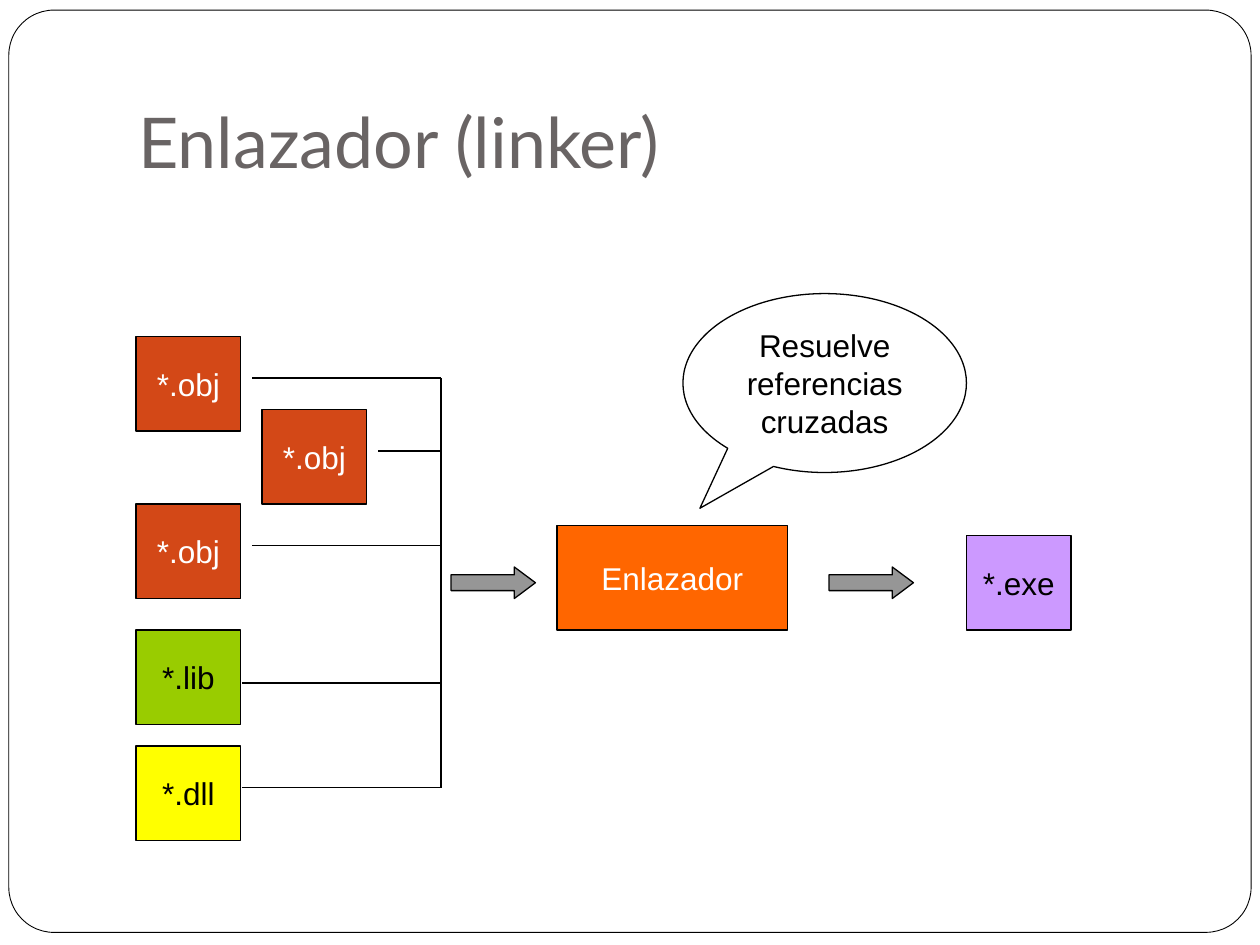
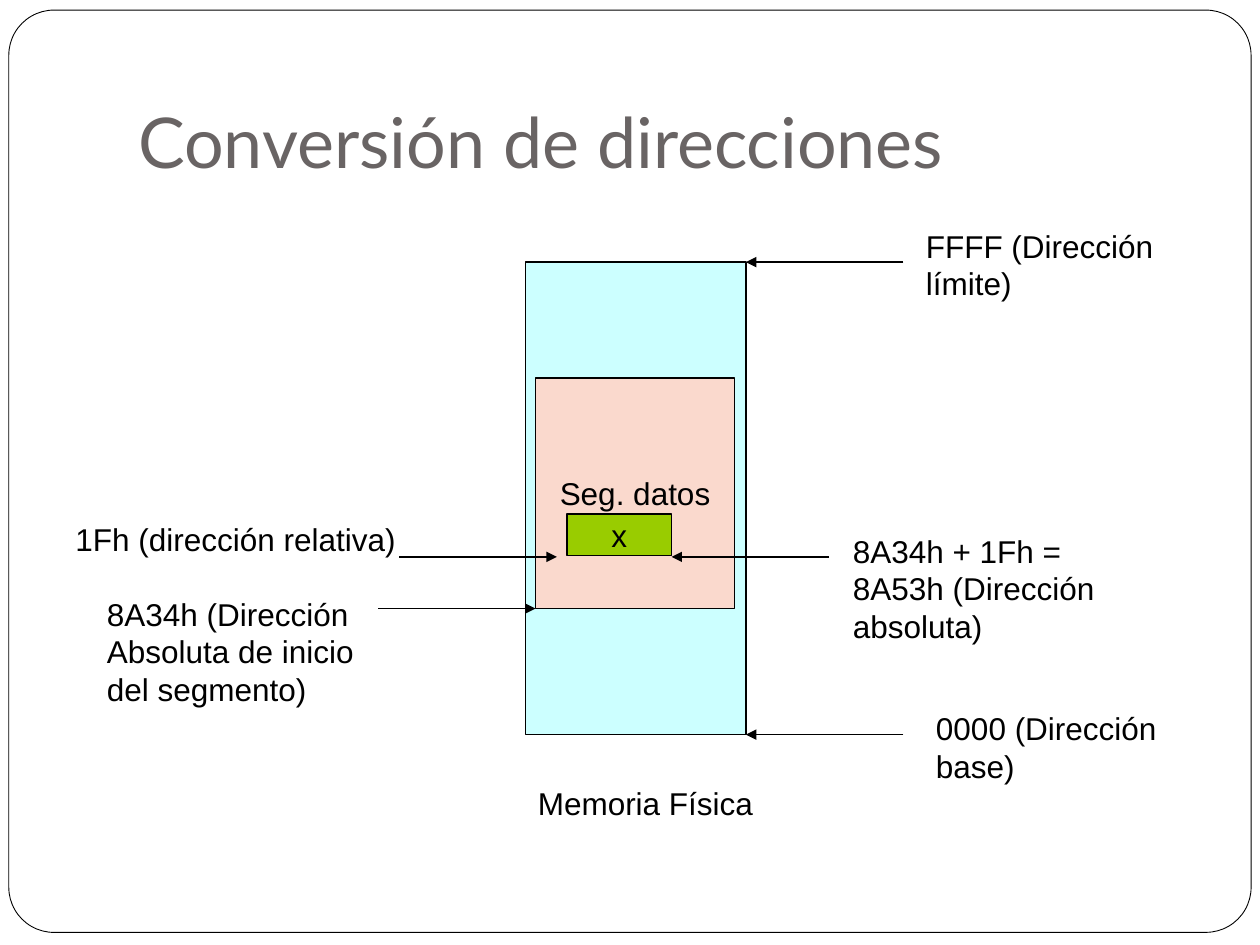
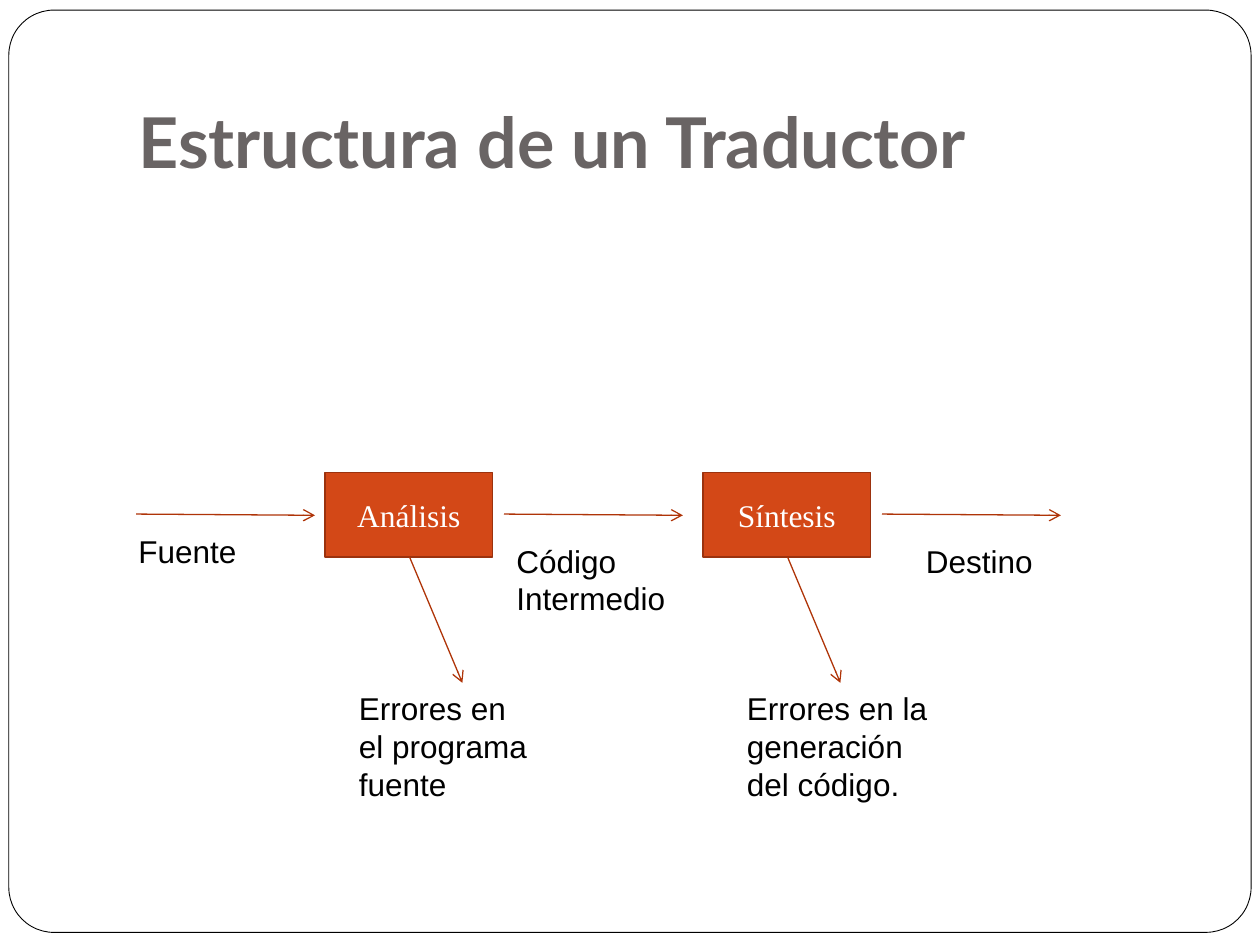
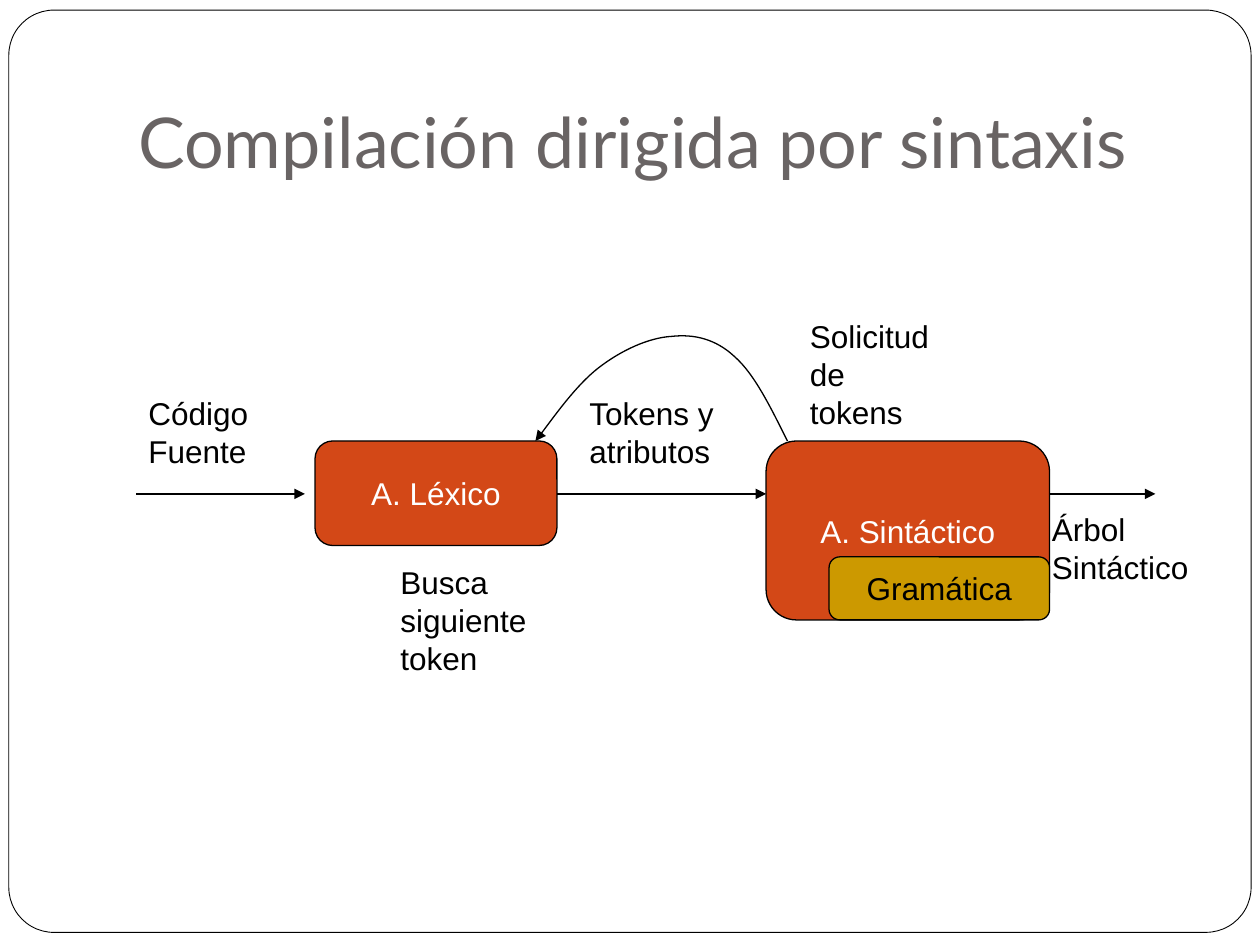
from dataclasses import dataclass
from itertools import chain

from lxml import etree
from pptx import Presentation
from pptx import util as u
from pptx.dml.color import RGBColor
from pptx.enum import shapes, text
from pptx.oxml.ns import qn

KIND = shapes.MSO_SHAPE
ALIGN = text.PP_ALIGN
ANCHOR = text.MSO_ANCHOR


@dataclass(frozen=True)
class Theme:
    black: str = "000000"
    white: str = "FFFFFF"
    title: str = "696464"
    rust: str = "D34817"
    rust_edge: str = "9B320E"
    rust_arrow: str = "AF3408"
    orange: str = "FF6600"
    green: str = "99CC00"
    yellow: str = "FFFF00"
    violet: str = "CC99FF"
    gray: str = "969696"
    cyan: str = "CCFFFF"
    peach: str = "FAD9CD"
    ochre: str = "CC9900"
    body_font: str = "Arial"
    title_font: str = "Lato"
    serif_font: str = "Times New Roman"
    title_size: float = 40
    body_size: float = 18
    label_gap: float = 11.2
    frame_line: float = 0.5
    thin_line: float = 0.75
    stage_line: float = 1


THEME = Theme()


@dataclass(frozen=True)
class Box:
    left: float
    top: float
    width: float
    height: float
    fill: str
    caption: str = ""
    ink: str = THEME.black
    kind: shapes.MSO_SHAPE = KIND.RECTANGLE
    adjust: tuple[float, ...] = ()
    edge: str = THEME.black
    weight: float = THEME.thin_line
    font: str = THEME.body_font
    anchor: text.MSO_ANCHOR = ANCHOR.MIDDLE
    wrap: bool = False


@dataclass(frozen=True)
class Label:
    left: float
    top: float
    width: float
    height: float
    caption: str
    wrap: bool = True
    before: float = 0


@dataclass(frozen=True)
class Link:
    x1: float
    y1: float
    x2: float
    y2: float
    head: str = ""
    color: str = THEME.black


# Drawing helpers
def write(shape, content: str, *, size: float = THEME.body_size,
          font: str = THEME.body_font, color: str = THEME.black,
          bold: bool = False, align=ALIGN.LEFT, anchor=ANCHOR.TOP,
          wrap: bool = True, before: float = 0, bottom: float = 0.05) -> None:
    frame = shape.text_frame
    frame.word_wrap = wrap
    frame.vertical_anchor = anchor
    frame.margin_left = frame.margin_right = u.Inches(0.1)
    frame.margin_top, frame.margin_bottom = u.Inches(0.05), u.Inches(bottom)
    frame.text = content
    for paragraph in frame.paragraphs:
        paragraph.alignment = align
        if before:
            paragraph.space_before = u.Pt(before)
        for run in paragraph.runs:
            run.font.name = font
            run.font.size = u.Pt(size)
            run.font.bold = bold
            run.font.color.rgb = RGBColor.from_string(color)


def stroke(shape, color: str, weight: float, head: str = "") -> None:
    shape.line.color.rgb = RGBColor.from_string(color)
    shape.line.width = u.Pt(weight)
    if head:
        outline = shape.element.spPr.find(qn("a:ln"))
        etree.SubElement(outline, qn("a:tailEnd"), type=head)


def draw_box(slide, box: Box):
    shape = slide.shapes.add_shape(
        box.kind, *map(u.Inches, (box.left, box.top, box.width, box.height)))
    shape.shadow.inherit = False
    for index, value in enumerate(box.adjust):
        shape.adjustments[index] = value
    shape.fill.solid()
    shape.fill.fore_color.rgb = RGBColor.from_string(box.fill)
    stroke(shape, box.edge, box.weight)
    if box.caption:
        write(shape, box.caption, color=box.ink, font=box.font,
              align=ALIGN.CENTER, anchor=box.anchor, wrap=box.wrap)


def draw_label(slide, label: Label) -> None:
    area = slide.shapes.add_textbox(
        *map(u.Inches, (label.left, label.top, label.width, label.height)))
    write(area, label.caption, wrap=label.wrap, before=label.before)
    area.text_frame.auto_size = text.MSO_AUTO_SIZE.SHAPE_TO_FIT_TEXT


def draw_link(slide, link: Link) -> None:
    connector = slide.shapes.add_connector(
        shapes.MSO_CONNECTOR.STRAIGHT,
        *map(u.Inches, (link.x1, link.y1, link.x2, link.y2)))
    stroke(connector, link.color, THEME.thin_line, link.head)
    etree.SubElement(connector.element.spPr, qn("a:effectLst"))


def draw_curve(slide, start: tuple, *segments: tuple) -> None:
    """Draw an open arrow through Bézier segments of three points each."""
    points = [tuple(map(u.Inches, point)) for point in chain(*segments)]
    builder = slide.shapes.build_freeform(*map(u.Inches, start))
    builder.add_line_segments(points, close=False)
    curve = builder.convert_to_shape()
    curve.shadow.inherit = False
    curve.fill.background()
    stroke(curve, THEME.black, THEME.thin_line, "triangle")
    # Regroup every three straight segments as one cubic segment
    outline = curve.element.spPr.find(".//" + qn("a:path"))
    steps = outline.findall(qn("a:lnTo"))
    for first in range(0, len(steps), 3):
        cubic = etree.SubElement(outline, qn("a:cubicBezTo"))
        for step in steps[first:first + 3]:
            cubic.append(step[0])
            outline.remove(step)


DRAW = {Box: draw_box, Label: draw_label, Link: draw_link}


def draw_all(slide, *parts: Box | Label | Link) -> None:
    for part in parts:
        DRAW[type(part)](slide, part)


def new_slide(deck, heading: str, bold: bool = False):
    slide = deck.slides.add_slide(deck.slide_layouts[6])
    draw_box(slide, Box(0.07, 0.08, 9.86, 7.32, THEME.white,
                        kind=KIND.ROUNDED_RECTANGLE, adjust=(0.049,),
                        weight=THEME.frame_line))
    title = slide.shapes.add_textbox(*map(u.Inches, (1, 0.3, 8.5, 1.25)))
    write(title, heading, size=THEME.title_size, font=THEME.title_font,
          color=THEME.title, bold=bold, anchor=ANCHOR.BOTTOM, bottom=0.1)
    return slide


# Slides
def linker_slide(deck) -> None:
    slide = new_slide(deck, "Enlazador (linker)")

    def file_box(left: float, top: float, caption: str, fill: str,
                 ink: str = THEME.black) -> Box:
        return Box(left, top, 0.83, 0.75, fill, caption, ink)

    # Input files and the bus that joins them
    bus_x = 3.5
    for left, top in ((1.08, 2.67), (2.08, 3.25), (1.08, 4)):
        draw_box(slide, file_box(left, top, "*.obj", THEME.rust, THEME.white))
    for x, y in ((2, 3), (2, 4.33), (3, 3.58), (1.92, 5.42), (1.92, 6.25)):
        draw_link(slide, Link(x, y, bus_x, y))
    draw_all(slide,
             Link(bus_x, 3, bus_x, 6.25),
             file_box(1.08, 5, "*.lib", THEME.green),
             file_box(1.08, 5.92, "*.dll", THEME.yellow))

    # Linker and its result
    draw_box(slide, Box(4.42, 4.17, 1.83, 0.83, THEME.orange, "Enlazador",
                        THEME.white))
    for arrow_left in (3.58, 6.58):
        draw_box(slide, Box(arrow_left, 4.5, 0.67, 0.25, THEME.gray,
                            kind=KIND.RIGHT_ARROW, adjust=(0.5, 0.67)))
    draw_all(slide,
             file_box(7.67, 4.25, "*.exe", THEME.violet),
             Box(5.42, 2.33, 2.25, 1.42, THEME.white,
                 "Resuelve referencias cruzadas", kind=KIND.OVAL_CALLOUT,
                 adjust=(-0.44, 0.7), anchor=ANCHOR.TOP, wrap=True))


def addresses_slide(deck) -> None:
    slide = new_slide(deck, "Conversión de direcciones")

    # Memory, data segment and variable
    draw_all(slide,
             Box(4.17, 2.08, 1.75, 3.75, THEME.cyan),
             Box(4.25, 3, 1.58, 1.83, THEME.peach, "Seg. datos"),
             Box(4.5, 4.08, 0.83, 0.33, THEME.green, "x"))

    # Pointers, all of one length; a negative reach points left
    reach = 1.25
    for x, y, step in ((7.17, 5.83, -reach), (7.17, 2.08, -reach),
                       (3, 4.83, reach), (3.17, 4.42, reach),
                       (6.58, 4.42, -reach)):
        draw_link(slide, Link(x, y, x + step, y, "triangle"))

    # Addresses
    for left, top, height, caption in (
            (6.67, 4.17, 1, "8A34h + 1Fh = 8A53h (Dirección absoluta)"),
            (7.25, 1.75, 0.7, "FFFF (Dirección límite)"),
            (7.33, 5.58, 0.7, "0000 (Dirección base)")):
        draw_label(slide, Label(left, top, 2.25, height, caption,
                                before=THEME.label_gap))
    draw_all(slide,
             Label(0.75, 4.67, 2.23, 1,
                   "8A34h (Dirección\nAbsoluta de inicio\ndel segmento)",
                   wrap=False),
             Label(0.5, 4.08, 2.74, 0.4, "1Fh (dirección relativa)",
                   wrap=False),
             Label(4.17, 6.17, 1.91, 0.4, "Memoria Física", wrap=False))


def translator_slide(deck) -> None:
    slide = new_slide(deck, "Estructura de un Traductor", bold=True)

    # Stages, each with its error exit
    pitch = 3
    for index, stage in enumerate(("Análisis", "Síntesis")):
        shift = index * pitch
        draw_all(slide,
                 Box(2.58 + shift, 3.75, 1.33, 0.67, THEME.rust, stage,
                     THEME.white, edge=THEME.rust_edge,
                     weight=THEME.stage_line, font=THEME.serif_font,
                     wrap=True),
                 Link(3.25 + shift, 4.42, 3.67 + shift, 5.42, "arrow",
                      THEME.rust_arrow))

    # Flow through the stages
    for x in (1.08, 4, 7):
        draw_link(slide, Link(x, 4.08, x + 1.42, 4.09, "arrow",
                              THEME.rust_arrow))
    draw_all(slide,
             Label(1, 4.17, 1.58, 0.4, "Fuente"),
             Label(7.25, 4.25, 1.58, 0.4, "Destino"),
             Label(4, 4.25, 1.42, 0.7, "Código Intermedio"),
             Label(2.75, 5.42, 1.58, 1, "Errores en el programa fuente"),
             Label(5.83, 5.42, 1.75, 1,
                   "Errores en la generación del código."))


def syntax_slide(deck) -> None:
    slide = new_slide(deck, "Compilación dirigida por sintaxis")

    # Analysers, with the grammar inside the second
    for left, top, width, height, fill, caption, ink in (
            (2.5, 3.5, 1.92, 0.83, THEME.rust, "A. Léxico", THEME.white),
            (6.08, 3.5, 2.25, 1.42, THEME.rust, "A. Sintáctico", THEME.white),
            (6.58, 4.42, 1.75, 0.5, THEME.ochre, "Gramática", THEME.black)):
        draw_box(slide, Box(left, top, width, height, fill, caption, ink,
                            kind=KIND.ROUNDED_RECTANGLE, adjust=(0.17,)))

    # Flow and the request that returns to the lexer
    for x1, x2 in ((1.08, 2.42), (4.42, 6.08), (8.33, 9.17)):
        draw_link(slide, Link(x1, 3.92, x2, 3.92, "triangle"))
    draw_curve(slide, (6.25, 3.5),
               ((6.12, 3.24), (5.99, 2.97), (5.83, 2.83)),
               ((5.68, 2.69), (5.51, 2.65), (5.33, 2.67)),
               ((5.15, 2.68), (4.93, 2.78), (4.75, 2.92)),
               ((4.57, 3.06), (4.33, 3.4), (4.25, 3.5)))

    # What travels along the flow
    for left, top, width, height, caption in (
            (1.08, 3.08, 1.25, 0.7, "Código Fuente"),
            (8.25, 4, 1.42, 0.7, "Árbol Sintáctico"),
            (4.58, 3.08, 1.25, 0.7, "Tokens y atributos"),
            (6.33, 2.47, 1.25, 1, "Solicitud de tokens"),
            (3.08, 4.42, 1.25, 1, "Busca siguiente token")):
        draw_label(slide, Label(left, top, width, height, caption,
                                before=THEME.label_gap))


def main() -> None:
    deck = Presentation()
    deck.slide_width, deck.slide_height = u.Inches(10), u.Inches(7.5)
    for build in (linker_slide, addresses_slide, translator_slide,
                  syntax_slide):
        build(deck)
    deck.save("out.pptx")


if __name__ == "__main__":
    main()
